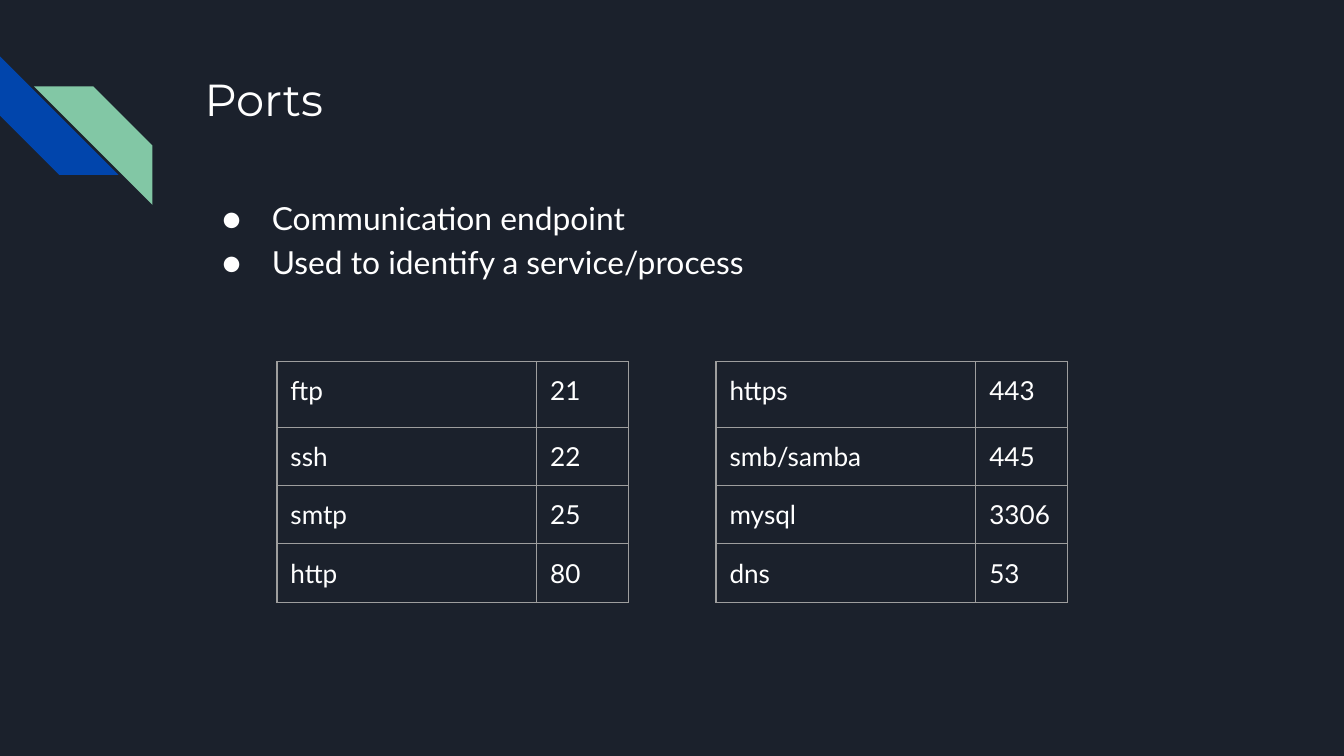
import dataclasses

import pptx
import pptx.dml.color
import pptx.enum.shapes
import pptx.enum.text
import pptx.oxml
import pptx.oxml.ns
import pptx.util

Pt = pptx.util.Pt


@dataclasses.dataclass(frozen=True)
class Theme:
    background: str = "1B212C"
    text: str = "FFFFFF"
    blue: str = "0145AC"
    green: str = "82C7A5"
    border: str = "9E9E9E"
    title_font: str = "Montserrat"
    body_font: str = "Lato"
    title_size: float = 24
    body_size: float = 17
    table_size: float = 14
    border_width: float = 0.75
    inset: float = 7.2


def color(value):
    return pptx.dml.color.RGBColor.from_string(value)


def add_xml(parent, tag, content="", attributes=""):
    namespace = pptx.oxml.ns.nsdecls("a")
    parent.append(pptx.oxml.parse_xml(f"<a:{tag} {namespace} {attributes}>{content}</a:{tag}>"))


class SlideBuilder:
    """Draws styled elements on the current slide."""

    def __init__(self, slide, theme):
        self.slide = slide
        self.theme = theme
        slide.background.fill.solid()
        slide.background.fill.fore_color.rgb = color(theme.background)

    def set_font(self, paragraph, name, size):
        paragraph.font.name = name
        paragraph.font.size = Pt(size)
        paragraph.font.color.rgb = color(self.theme.text)

    def set_insets(self, target):
        for side in ("left", "right", "top", "bottom"):
            setattr(target, f"margin_{side}", Pt(self.theme.inset))

    def place(self, placeholder, left, top, width, height):
        placeholder.left, placeholder.top = Pt(left), Pt(top)
        placeholder.width, placeholder.height = Pt(width), Pt(height)
        frame = placeholder.text_frame
        frame.word_wrap = True
        frame.auto_size = pptx.enum.text.MSO_AUTO_SIZE.NONE
        frame.vertical_anchor = pptx.enum.text.MSO_ANCHOR.TOP
        self.set_insets(frame)
        return frame

    def stripe(self, left, top, size, fill, rotation):
        stripe = self.slide.shapes.add_shape(
            pptx.enum.shapes.MSO_SHAPE.DIAGONAL_STRIPE, Pt(left), Pt(top), Pt(size), Pt(size))
        stripe.rotation = rotation
        stripe.adjustments[0] = 0.5
        stripe.shadow.inherit = False
        stripe.fill.solid()
        stripe.fill.fore_color.rgb = color(fill)
        stripe.line.fill.background()

    def title(self, text, *box):
        frame = self.place(self.slide.shapes.title, *box)
        frame.text = text
        heading = frame.paragraphs[0]
        heading.alignment = pptx.enum.text.PP_ALIGN.LEFT
        self.set_font(heading, self.theme.title_font, self.theme.title_size)

    def bullets(self, points, *box):
        frame = self.place(self.slide.placeholders[1], *box)
        frame.text = "\n".join(points)
        for point in frame.paragraphs:
            properties = point._p.get_or_add_pPr()
            properties.set("marL", str(Pt(36)))
            properties.set("indent", str(-Pt(26.6)))
            add_xml(properties, "buClr", f'<a:srgbClr val="{self.theme.text}"/>')
            add_xml(properties, "buFont", attributes=f'typeface="{self.theme.body_font}"')
            add_xml(properties, "buChar", attributes='char="●"')
            point.line_spacing = 1.15
            point.space_before = Pt(0)
            self.set_font(point, self.theme.body_font, self.theme.body_size)

    def table(self, rows, left, top, widths, heights):
        table = self.slide.shapes.add_table(
            len(rows), len(widths), Pt(left), Pt(top), Pt(sum(widths)), Pt(sum(heights))).table
        table.first_row = table.horz_banding = False
        for column, width in zip(table.columns, widths):
            column.width = Pt(width)
        for row, height, texts in zip(table.rows, heights, rows):
            row.height = Pt(height)
            for cell, text in zip(row.cells, texts):
                self.fill_cell(cell, text)

    def fill_cell(self, cell, text):
        cell.text = text
        self.set_insets(cell)
        self.set_font(cell.text_frame.paragraphs[0], self.theme.body_font, self.theme.table_size)
        border = f'<a:solidFill><a:srgbClr val="{self.theme.border}"/></a:solidFill>'
        for tag in ("lnL", "lnR", "lnT", "lnB"):
            add_xml(cell._tc.get_or_add_tcPr(), tag, border, f'w="{Pt(self.theme.border_width)}"')
        cell.fill.background()


def main():
    presentation = pptx.Presentation()
    presentation.slide_width, presentation.slide_height = Pt(720), Pt(405)
    theme = Theme()
    builder = SlideBuilder(presentation.slides.add_slide(presentation.slide_layouts[1]), theme)

    builder.stripe(0, 30.2, 63.5, theme.blue, 270)
    builder.stripe(18.2, 46.3, 63.5, theme.green, 90)
    builder.title("Ports", 102.4, 31, 554.4, 72)
    builder.bullets(["Communication endpoint", "Used to identify a service/process"],
                    102.4, 96.5, 554.4, 229)

    port_tables = [
        [("ftp", "21"), ("ssh", "22"), ("smtp", "25"), ("http", "80")],
        [("https", "443"), ("smb/samba", "445"), ("mysql", "3306"), ("dns", "53")],
    ]
    for index, ports in enumerate(port_tables):
        builder.table(ports, 148.4 + index * 235.2, 193.7, [139.2, 49], [35.2, 31, 31, 31])

    presentation.save("out.pptx")


if __name__ == "__main__":
    main()
